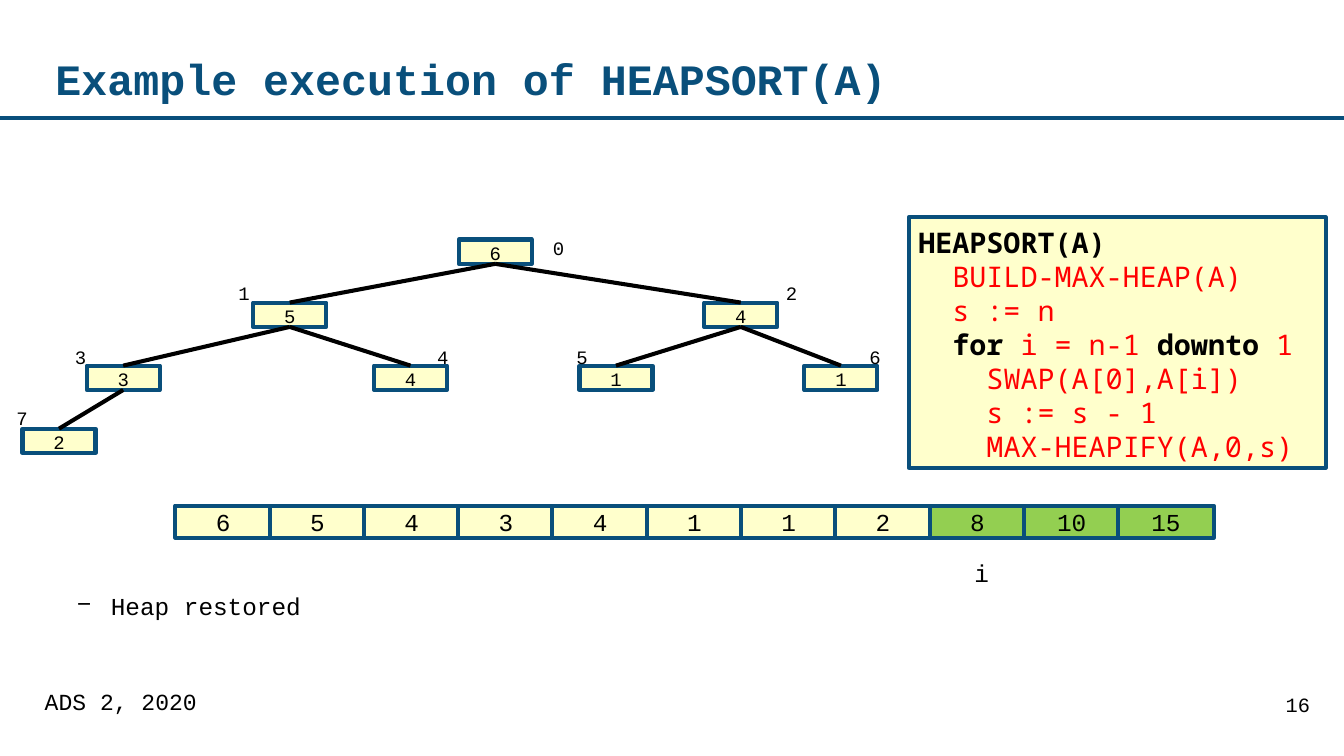
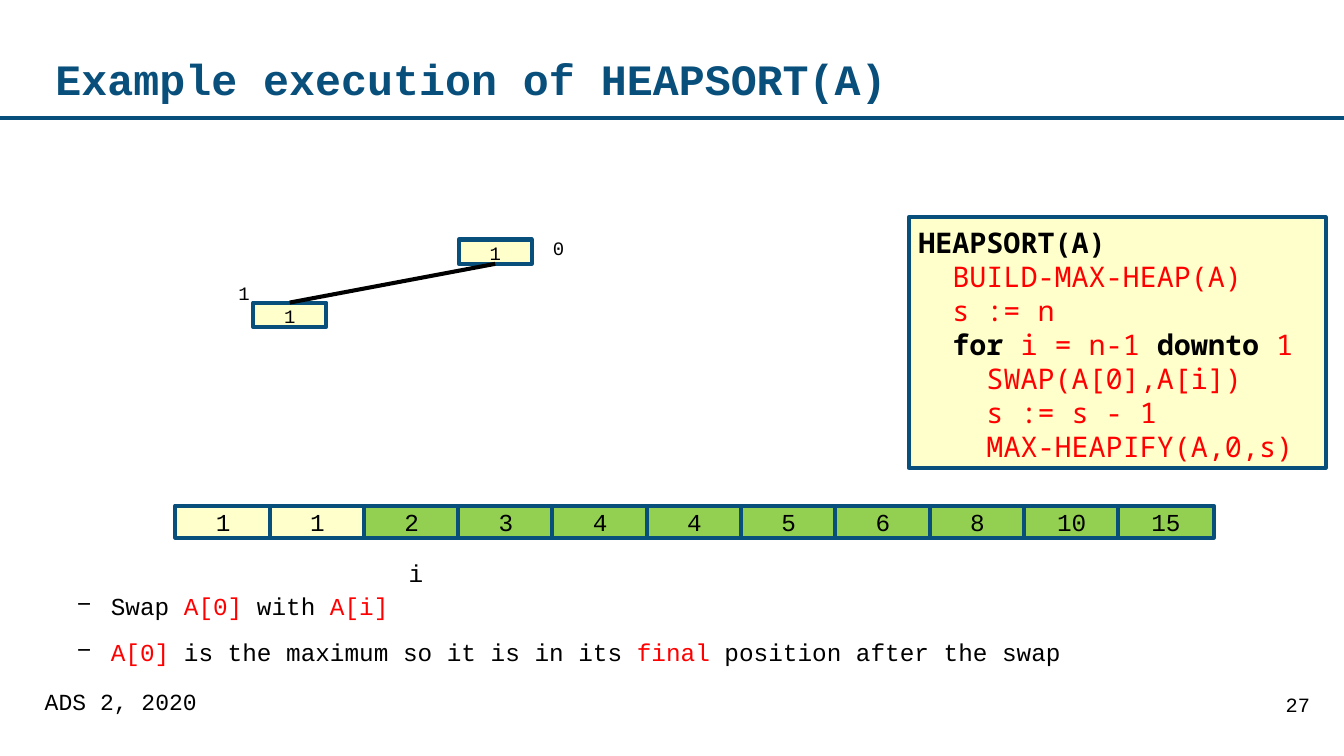
from collections import namedtuple
from dataclasses import dataclass

from pptx import Presentation
from pptx.dml.color import RGBColor
from pptx.enum.shapes import MSO_CONNECTOR, MSO_SHAPE
from pptx.enum.text import MSO_ANCHOR, MSO_AUTO_SIZE, PP_ALIGN
from pptx.oxml.ns import qn
from pptx.util import Pt
from lxml import etree

RECTANGLE = MSO_SHAPE.RECTANGLE
STRAIGHT = MSO_CONNECTOR.STRAIGHT
TOP, MIDDLE = MSO_ANCHOR.TOP, MSO_ANCHOR.MIDDLE
LEFT, CENTER, RIGHT = PP_ALIGN.LEFT, PP_ALIGN.CENTER, PP_ALIGN.RIGHT
NO_AUTOFIT = MSO_AUTO_SIZE.NONE
TITLE_ONLY = 5
TOP_SITE, BOTTOM_SITE = 0, 2

Box = namedtuple("Box", "x y w h")


@dataclass(frozen=True)
class Theme:
    blue: RGBColor = RGBColor(0x09, 0x4F, 0x7B)
    black: RGBColor = RGBColor(0, 0, 0)
    red: RGBColor = RGBColor(0xFF, 0, 0)
    heap: RGBColor = RGBColor(0xFF, 0xFF, 0xCC)
    sorted: RGBColor = RGBColor(0x93, 0xCF, 0x51)
    font: str = "Courier New"
    code_font: str = "Noto Sans Mono"
    title_size: float = 32
    code_size: float = 21
    text_size: float = 18
    footer_size: float = 17
    page_size: float = 15
    node_size: float = 14
    rule_width: float = 2.75
    line_width: float = 3


THEME = Theme()
SLIDE_W, SLIDE_H = 993.6, 558.72
DEFAULT_INSETS = (7.2, 3.6, 7.2, 3.6)
CELL_INSETS = (7.2, 7.2, 7.2, 2.9)

# Regions of a slide
TITLE_BOX = Box(41, 25.2, 848, 64)
RULE_Y = 87.1
TREE_BOX = Box(16.6, 177, 632, 158)
CODE_BOX = Box(671.8, 160.6, 308.2, 185)
ARRAY_BOX = Box(129.6, 373.7, 767.6, 23.8)
NOTES_BOX = Box(41, 432.6, 911, 64)
FOOTER_BOX = Box(25.2, 508.3, 628.6, 38.2)
PAGE_BOX = Box(816.5, 508.3, 160.6, 38.2)

# Heap nodes in index order: left edge, then offset of the index label
NODE_W, NODE_H, LEVEL_STEP = 54, 18, 46.6
NODES = [
    (322.5, 62.6, -5.8),
    (170.6, -18, -18.7),
    (504, 53.3, -18.7),
    (47.5, -15.8, -18.7),
    (259.9, 39.6, -18.7),
    (411.8, -9.4, -18.7),
    (578.1, 41, -18.7),
    (0, -11.5, -20.2),
]

# Code lines: indent in characters, then (text, is keyword) pieces
CODE = [
    (0, [("HEAPSORT(A)", True)]),
    (2, [("BUILD-MAX-HEAP(A)", False)]),
    (2, [("s := n", False)]),
    (2, [("for ", True), ("i = n-1 ", False), ("downto ", True), ("1", False)]),
    (4, [("SWAP(A[0],A[i])", False)]),
    (4, [("s := s - 1", False)]),
    (4, [("MAX-HEAPIFY(A,0,s)", False)]),
]


# Shared helpers
def points(*lengths):
    return [Pt(length) for length in lengths]


def set_frame(frame, insets=DEFAULT_INSETS, anchor=TOP, wrap=True):
    frame.margin_left, frame.margin_top, frame.margin_right, frame.margin_bottom = points(*insets)
    frame.vertical_anchor = anchor
    frame.word_wrap = wrap
    frame.auto_size = NO_AUTOFIT


def style_run(run, size, color=THEME.black, bold=False, font=THEME.font):
    run.font.name = font
    run.font.size = Pt(size)
    run.font.bold = bold
    run.font.color.rgb = color


def write(frame, text, size, align=LEFT, spacing=1.0, **style):
    frame.text = text
    paragraph = frame.paragraphs[0]
    paragraph.alignment = align
    paragraph.line_spacing = spacing
    style_run(paragraph.runs[0], size, **style)


def add_label(slide, box, text, size, insets=DEFAULT_INSETS, **style):
    frame = slide.shapes.add_textbox(*points(*box)).text_frame
    set_frame(frame, insets)
    write(frame, text, size, **style)


def add_panel(slide, box, fill):
    panel = slide.shapes.add_shape(RECTANGLE, *points(*box))
    panel.shadow.inherit = False
    panel.fill.solid()
    panel.fill.fore_color.rgb = fill
    panel.line.color.rgb = THEME.blue
    panel.line.width = Pt(THEME.line_width)
    return panel


def add_value(slide, box, value, size, fill):
    cell = add_panel(slide, box, fill)
    set_frame(cell.text_frame, CELL_INSETS, MIDDLE, wrap=False)
    write(cell.text_frame, str(value), size, align=CENTER, spacing=0.82)
    return cell


def add_line(slide, start, end, color, width):
    line = slide.shapes.add_connector(STRAIGHT, *points(*start, *end))
    line.line.color.rgb = color
    line.line.width = Pt(width)
    etree.SubElement(line._element.spPr, qn("a:effectLst"))
    return line


def paragraph_at(frame, index):
    return frame.paragraphs[0] if index == 0 else frame.add_paragraph()


# Title, rule and footer
def add_page_furniture(slide, title, page):
    add_line(slide, (0, RULE_Y), (SLIDE_W, RULE_Y), THEME.blue, THEME.rule_width)
    heading = slide.shapes.title
    heading.left, heading.top, heading.width, heading.height = points(*TITLE_BOX)
    set_frame(heading.text_frame, (0, 0, 0, 0), MIDDLE)
    write(heading.text_frame, title, THEME.title_size, spacing=1.04,
          color=THEME.blue, bold=True)
    add_label(slide, FOOTER_BOX, "ADS 2, 2020", THEME.footer_size,
              insets=(7.9, 3.6, 7.9, 3.6), spacing=0.82)
    add_label(slide, PAGE_BOX, str(page), THEME.page_size,
              insets=(8.6, 4.3, 8.6, 4.3), align=RIGHT, spacing=0.96)


# Binary heap: level and parent follow from the index
def add_tree(slide, box, values):
    nodes = []
    for index, (value, (left, label_dx, label_dy)) in enumerate(zip(values, NODES)):
        level = (index + 1).bit_length() - 1
        x, y = box.x + left, box.y + level * LEVEL_STEP
        nodes.append(add_value(slide, Box(x, y, NODE_W, NODE_H), value,
                               THEME.node_size, THEME.heap))
        add_label(slide, Box(x + label_dx, y + label_dy, 16.6, 24.5),
                  str(index), THEME.node_size)
    for index, child in enumerate(nodes[1:], start=1):
        edge = add_line(slide, (0, 0), (0, 0), THEME.black, THEME.line_width)
        edge.begin_connect(nodes[(index - 1) // 2], BOTTOM_SITE)
        edge.end_connect(child, TOP_SITE)


# Pseudocode panel
def add_code(slide, box):
    frame = add_panel(slide, box, THEME.heap).text_frame
    set_frame(frame, (7.2, 6, 7.2, 3.6))
    char_width = 0.6 * THEME.code_size
    for index, (indent, pieces) in enumerate(CODE):
        paragraph = paragraph_at(frame, index)
        paragraph.alignment = LEFT
        paragraph.line_spacing = Pt(25.1)
        paragraph._p.get_or_add_pPr().set("marL", str(Pt(indent * char_width)))
        for text, keyword in pieces:
            run = paragraph.add_run()
            run.text = text
            style_run(run, THEME.code_size, THEME.black if keyword else THEME.red,
                      keyword, THEME.code_font)


# Array with its sorted tail and the marker i under the first sorted cell
def add_array(slide, box, values, heap_size):
    cell_w = 70.6
    step = (box.w - cell_w) / (len(values) - 1)
    for index, value in enumerate(values):
        fill = THEME.heap if index < heap_size else THEME.sorted
        add_value(slide, Box(box.x + index * step, box.y, cell_w, box.h), value,
                  THEME.text_size, fill)
    marker_x = box.x + heap_size * step + 26
    add_label(slide, Box(marker_x, box.y + 35.3, 31.7, 28.8), "i", THEME.text_size)


# Dashed notes: each is a list of (text, is highlighted) pieces
def add_notes(slide, box, notes):
    frame = slide.shapes.add_textbox(*points(*box)).text_frame
    set_frame(frame, (0, 0, 0, 0))
    for index, pieces in enumerate(notes):
        paragraph = paragraph_at(frame, index)
        paragraph.line_spacing = 1.2
        paragraph.space_before = Pt(8 if index else 0)
        properties = paragraph._p.get_or_add_pPr()
        properties.set("marL", str(Pt(41)))
        properties.set("indent", str(Pt(-25.2)))
        color = etree.SubElement(properties, qn("a:buClr"))
        etree.SubElement(color, qn("a:srgbClr"), val=str(THEME.black))
        etree.SubElement(properties, qn("a:buFont"), typeface=THEME.font)
        etree.SubElement(properties, qn("a:buChar"), char="\u2212")
        for text, highlighted in pieces:
            run = paragraph.add_run()
            run.text = text
            style_run(run, THEME.text_size, THEME.red if highlighted else THEME.black)


def add_heapsort_slide(deck, page, array, heap_size, notes):
    slide = deck.slides.add_slide(deck.slide_layouts[TITLE_ONLY])
    add_page_furniture(slide, "Example execution of HEAPSORT(A)", page)
    add_tree(slide, TREE_BOX, array[:heap_size])
    add_code(slide, CODE_BOX)
    add_array(slide, ARRAY_BOX, array, heap_size)
    add_notes(slide, NOTES_BOX, notes)


deck = Presentation()
deck.slide_width, deck.slide_height = points(SLIDE_W, SLIDE_H)
add_heapsort_slide(deck, 16, [6, 5, 4, 3, 4, 1, 1, 2, 8, 10, 15], 8,
                   [[("Heap restored", False)]])
add_heapsort_slide(deck, 27, [1, 1, 2, 3, 4, 4, 5, 6, 8, 10, 15], 2, [
    [("Swap ", False), ("A[0]", True), (" with ", False), ("A[i]", True)],
    [("A[0]", True), (" is the maximum so it is in its ", False),
     ("final", True), (" position after the swap", False)],
])
deck.save("out.pptx")
